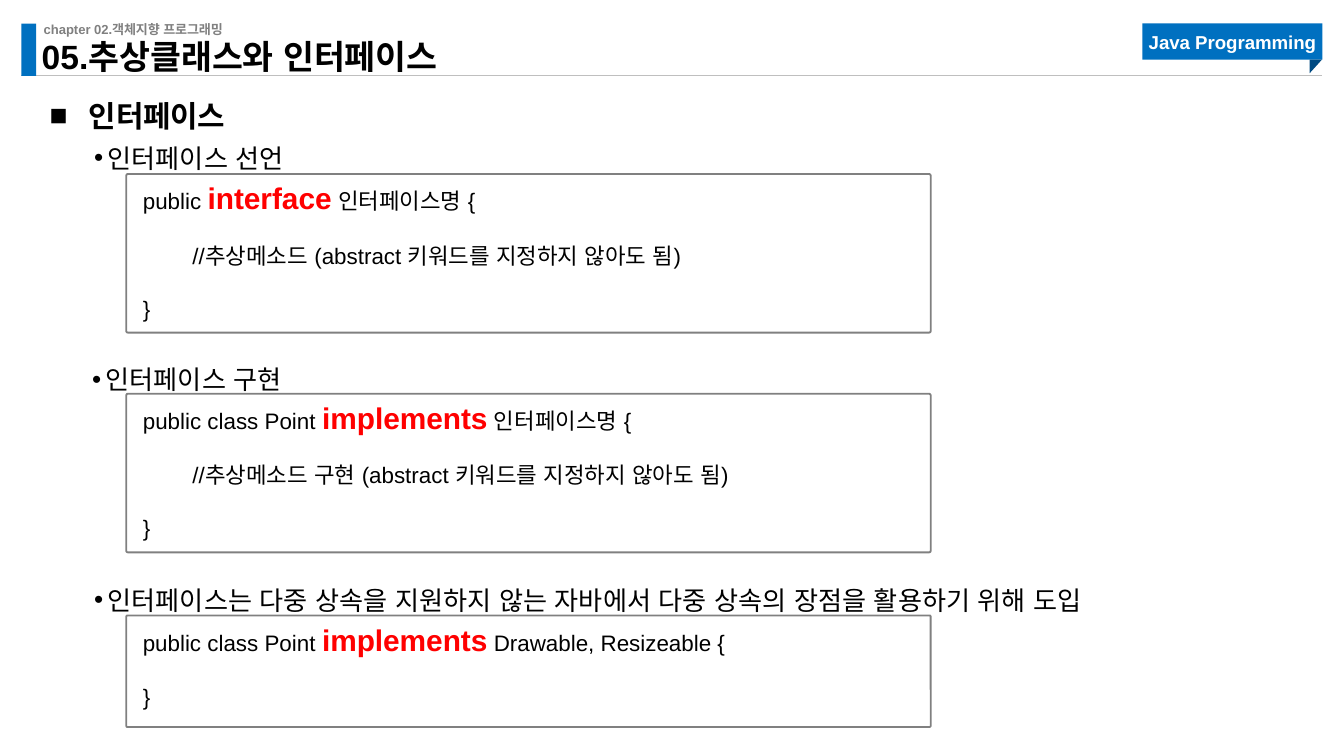
from lxml import etree
from pptx import Presentation
from pptx.dml.color import RGBColor
from pptx.enum.shapes import MSO_CONNECTOR, MSO_SHAPE
from pptx.enum.text import MSO_ANCHOR, MSO_AUTO_SIZE, PP_ALIGN
from pptx.oxml.ns import qn
from pptx.util import Emu, Pt

RECT = MSO_SHAPE.RECTANGLE
ROUNDED = MSO_SHAPE.ROUNDED_RECTANGLE
TRIANGLE = MSO_SHAPE.RIGHT_TRIANGLE
STRAIGHT = MSO_CONNECTOR.STRAIGHT
TOP, MIDDLE, BOTTOM = MSO_ANCHOR.TOP, MSO_ANCHOR.MIDDLE, MSO_ANCHOR.BOTTOM
LEFT, CENTER = PP_ALIGN.LEFT, PP_ALIGN.CENTER
NO_FIT = MSO_AUTO_SIZE.NONE

EMU_PER_PX = 4572
FONT = "Arial"
COLORS = {
    "blue": "0070C0",
    "navy": "004A82",
    "gray": "808080",
    "rule": "BFBFBF",
    "black": "000000",
    "white": "FFFFFF",
    "keyword": "FF0000",
}

SECTIONS = [
    ("인터페이스 선언", (80, 188), (259, 236),
     ("public ", "interface", " 인터페이스명 {"),
     ["        //추상메소드 (abstract 키워드를 지정하지 않아도 됨)", "}"]),
    ("인터페이스 구현", (77, 518), (586, 236),
     ("public class Point ", "implements", " 인터페이스명 {"),
     ["        //추상메소드 구현 (abstract 키워드를 지정하지 않아도 됨)", "}"]),
    ("인터페이스는 다중 상속을 지원하지 않는 자바에서 다중 상속의 장점을 활용하기 위해 도입",
     (80, 846), (916, 166),
     ("public class Point ", "implements", " Drawable, Resizeable {"),
     ["}"]),
]


def px(value):
    return Emu(value * EMU_PER_PX)


def box(*lengths):
    return [px(length) for length in lengths]


def color(name):
    return RGBColor.from_string(COLORS[name])


def prepare_frame(shape, anchor=TOP, margins=(0, 0)):
    frame = shape.text_frame
    frame.word_wrap = True
    frame.auto_size = NO_FIT
    frame.vertical_anchor = anchor
    frame.margin_left = frame.margin_right = px(margins[0])
    frame.margin_top = frame.margin_bottom = px(margins[1])
    return frame


def write(paragraph, text, size=12, ink="black", bold=False, align=LEFT,
          spacing=1.0, before=0):
    paragraph.alignment = align
    paragraph.line_spacing = spacing
    paragraph.space_before = Pt(before)
    run = paragraph.add_run()
    run.text = text
    run.font.name = FONT
    run.font.size = Pt(size)
    run.font.bold = bold
    run.font.color.rgb = color(ink)
    properties = run._r.get_or_add_rPr()
    etree.SubElement(properties, qn("a:ea")).set("typeface", FONT)


def add_bullet(paragraph, mark, margin, hanging):
    properties = paragraph._p.get_or_add_pPr()
    properties.set("marL", str(px(margin)))
    properties.set("indent", str(-px(hanging)))
    etree.SubElement(properties, qn("a:buFont")).set("typeface", FONT)
    etree.SubElement(properties, qn("a:buChar")).set("char", mark)


def add_block(slide, kind, bounds, fill=None, outline=None):
    block = slide.shapes.add_shape(kind, *box(*bounds))
    block.shadow.inherit = False
    if fill:
        block.fill.solid()
        block.fill.fore_color.rgb = color(fill)
    else:
        block.fill.background()
    if outline:
        block.line.color.rgb = color(outline)
        block.line.width = Pt(1)
    else:
        block.line.fill.background()
    return block


def add_header(slide):
    rule = slide.shapes.add_connector(STRAIGHT, *box(32, 112, 1968, 112))
    rule.line.color.rgb = color("rule")
    rule.line.width = Pt(0.5)
    etree.SubElement(rule._element.spPr, qn("a:effectLst"))

    add_block(slide, RECT, (32, 35, 22, 78), fill="blue")
    chapter = slide.shapes.add_textbox(*box(65, 32, 646, 24))
    write(prepare_frame(chapter).paragraphs[0], "chapter 02.객체지향 프로그래밍",
          size=7, ink="gray", bold=True)

    course = add_block(slide, RECT, (1700, 35, 268, 54), fill="blue")
    write(prepare_frame(course, MIDDLE).paragraphs[0], "Java Programming",
          size=10, ink="white", bold=True, align=CENTER)
    fold = add_block(slide, TRIANGLE, (1948, 90, 20, 18), fill="navy")
    fold.rotation = 90


def fill_placeholders(slide):
    title = slide.shapes.title
    title.left, title.top, title.width, title.height = box(62, 69, 660, 46)
    write(prepare_frame(title, BOTTOM).paragraphs[0], "05.추상클래스와 인터페이스",
          size=18, bold=True, spacing=0.9)

    topic = slide.placeholders[1]
    topic.left, topic.top, topic.width, topic.height = box(74, 119, 1908, 66)
    heading = prepare_frame(topic).paragraphs[0]
    add_bullet(heading, "■", 58, 58)
    write(heading, "인터페이스", size=16, bold=True, spacing=1.5)


def add_point(slide, text, left, top):
    point = slide.shapes.add_textbox(*box(left, top, 1852, 126))
    paragraph = prepare_frame(point).paragraphs[0]
    paragraph.level = 1
    add_bullet(paragraph, "•", 80, 20)
    write(paragraph, text, size=14, spacing=1.5)


def add_code(slide, top, height, declaration, body_lines):
    panel = add_block(slide, ROUNDED, (188, top, 1197, height), outline="gray")
    panel.adjustments[0] = 0.01
    frame = prepare_frame(panel, margins=(24, 8))
    opening, keyword, ending = declaration
    first_line = frame.paragraphs[0]
    write(first_line, opening)
    write(first_line, keyword, size=16, ink="keyword", bold=True)
    write(first_line, ending)
    for line in body_lines:
        write(frame.add_paragraph(), line, before=14)


def main():
    deck = Presentation()
    deck.slide_width, deck.slide_height = box(2000, 1125)
    slide = deck.slides.add_slide(deck.slide_layouts[1])
    add_header(slide)
    fill_placeholders(slide)
    for point, position, extent, declaration, body_lines in SECTIONS:
        add_code(slide, *extent, declaration, body_lines)
        add_point(slide, point, *position)
    deck.save("out.pptx")


if __name__ == "__main__":
    main()
